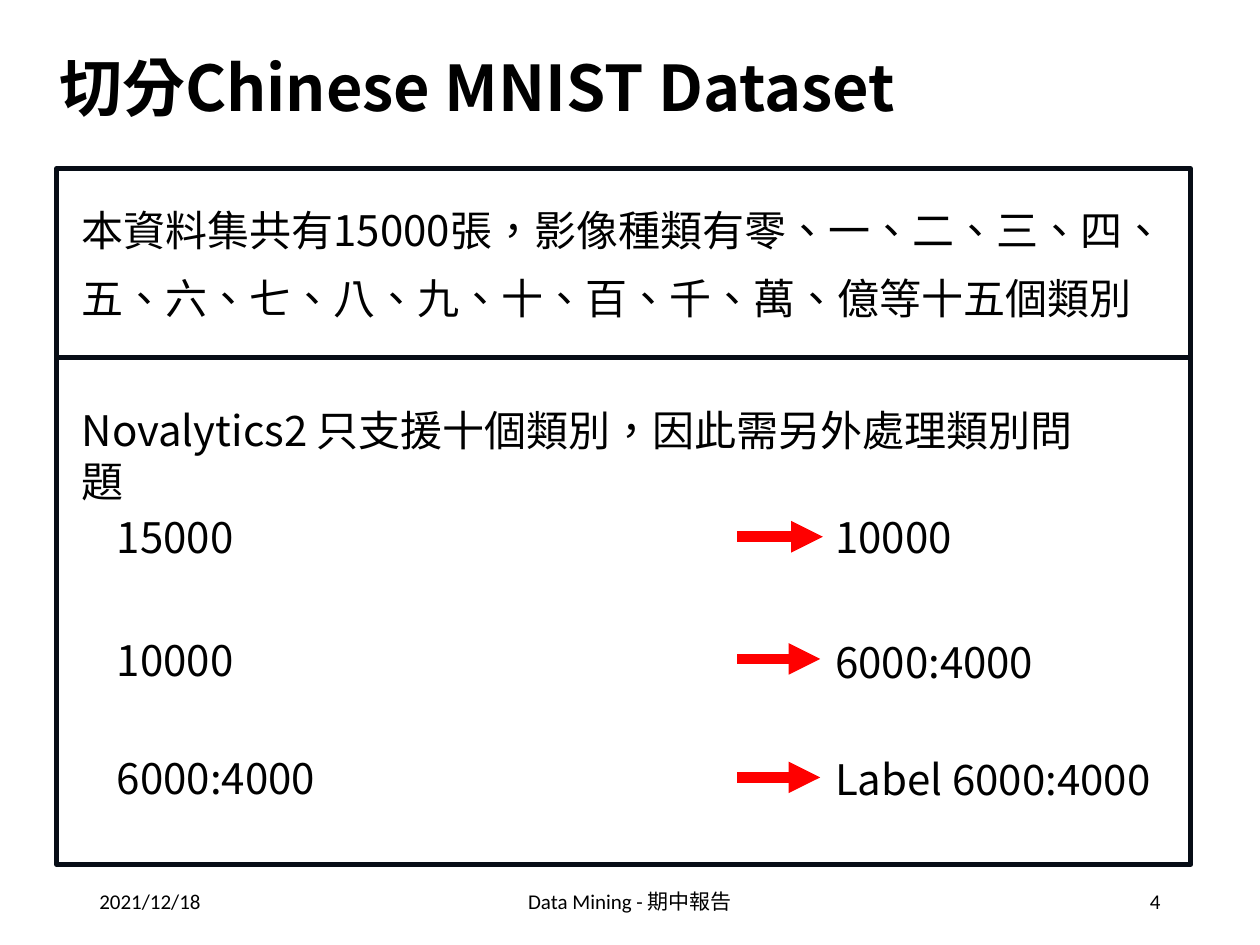
from dataclasses import dataclass

from lxml import etree
from pptx import Presentation
from pptx.dml.color import RGBColor
from pptx.enum.shapes import MSO_CONNECTOR, MSO_SHAPE
from pptx.enum.text import MSO_ANCHOR, MSO_AUTO_SIZE, PP_ALIGN
from pptx.oxml.ns import qn
from pptx.util import Inches, Pt

STRAIGHT = MSO_CONNECTOR.STRAIGHT
RECTANGLE = MSO_SHAPE.RECTANGLE
TOP, MIDDLE = MSO_ANCHOR.TOP, MSO_ANCHOR.MIDDLE
GROW, FIXED = MSO_AUTO_SIZE.SHAPE_TO_FIT_TEXT, MSO_AUTO_SIZE.NONE
LEFT, CENTER, RIGHT = PP_ALIGN.LEFT, PP_ALIGN.CENTER, PP_ALIGN.RIGHT
LEFT_SIDE = 1


@dataclass(frozen=True)
class Theme:
    text: RGBColor = RGBColor(0x00, 0x00, 0x00)
    frame: RGBColor = RGBColor(0x07, 0x0D, 0x16)
    arrow: RGBColor = RGBColor(0xFF, 0x00, 0x00)
    body_font: str = "Noto Sans CJK SC"
    footer_font: str = "Calibri"
    title_size: int = 36
    body_size: int = 24
    footer_size: int = 12
    frame_width: int = 3
    arrow_width: int = 6
    line_pitch: float = 1.21
    paragraph_gap: float = 9.6


class SlideBuilder:
    def __init__(self, slide, theme):
        self.shapes = slide.shapes
        self.theme = theme

    def text(self, box, lines, size=None, font=None, bold=False,
             align=LEFT, anchor=TOP, auto_size=GROW, wrap=True):
        theme = self.theme
        size = size or theme.body_size
        label = self.shapes.add_textbox(*map(Inches, box))
        frame = label.text_frame
        frame_format = {"word_wrap": wrap, "auto_size": auto_size,
                        "vertical_anchor": anchor}
        for name, value in frame_format.items():
            setattr(frame, name, value)

        font_format = {"name": font or theme.body_font, "size": Pt(size),
                       "bold": bold}
        for index, line in enumerate(lines):
            paragraph = frame.paragraphs[0] if index == 0 else frame.add_paragraph()
            paragraph.alignment = align
            paragraph.line_spacing = Pt(size * theme.line_pitch)
            if index:
                paragraph.space_before = Pt(theme.paragraph_gap)
            run = paragraph.add_run()
            run.text = line
            for name, value in font_format.items():
                setattr(run.font, name, value)
            run.font.color.rgb = theme.text
            # East Asian font and language for the Chinese characters
            properties = run._r.get_or_add_rPr()
            properties.set("lang", "zh-TW")
            etree.SubElement(properties, qn("a:ea"), typeface=theme.body_font)
        return label

    def frame(self, box):
        outline = self.shapes.add_shape(RECTANGLE, *map(Inches, box))
        outline.shadow.inherit = False
        outline.fill.background()
        outline.line.color.rgb = self.theme.frame
        outline.line.width = Pt(self.theme.frame_width)

    def line(self, start, end, color, width):
        connector = self.shapes.add_connector(
            STRAIGHT, *map(Inches, (*start, *end)))
        connector.line.color.rgb = color
        connector.line.width = Pt(width)
        etree.SubElement(connector._element.spPr, qn("a:effectLst"))
        return connector

    def arrow(self, start, end, target=None):
        connector = self.line(start, end, self.theme.arrow, self.theme.arrow_width)
        etree.SubElement(connector.line._get_or_add_ln(), qn("a:tailEnd"),
                         type="triangle")
        if target is not None:
            connector.end_connect(target, LEFT_SIDE)


def main():
    presentation = Presentation()
    presentation.slide_width, presentation.slide_height = Inches(10), Inches(7.5)
    theme = Theme()
    slide = SlideBuilder(
        presentation.slides.add_slide(presentation.slide_layouts[6]), theme)

    # Title
    slide.text((0.37, 0.33, 9.35, 0.71), ["切分Chinese MNIST Dataset"],
               size=theme.title_size, bold=True)

    # Footer: date, report name, slide number
    footer = [
        (0.69, 2.25, "2021/12/18", LEFT),
        (3.31, 3.38, "Data Mining - 期中報告", CENTER),
        (7.06, 2.25, "4", RIGHT),
    ]
    for left, width, words, align in footer:
        slide.text((left, 6.95, width, 0.4), [words], size=theme.footer_size,
                   font=theme.footer_font, align=align, anchor=MIDDLE,
                   auto_size=FIXED)

    # Dataset description
    slide.text((0.55, 1.57, 8.92, 1.04),
               ["本資料集共有15000張，影像種類有零、一、二、三、四、",
                "五、六、七、八、九、十、百、千、萬、億等十五個類別"],
               wrap=False)

    # Frame and divider
    frame_left, frame_width, divider_top = 0.45, 9, 2.84
    slide.frame((frame_left, 1.34, frame_width, 5.52))
    slide.line((frame_left, divider_top), (frame_left + frame_width, divider_top),
               theme.frame, theme.frame_width)

    # Class limit
    slide.text((0.55, 3.16, 8.37, 0.5),
               ["Novalytics2 只支援十個類別，因此需另外處理類別問題"])

    # Splitting steps: before, arrow, after
    before_left, arrow_left, after_left, height = 0.83, 5.85, 6.53, 0.5
    steps = [
        (4.01, "15000", 1.27, 4.01, "10000", 1.27, 4.26, after_left),
        (4.98, "10000", 1.27, 5.00, "6000:4000", 1.87, 5.23, 6.51),
        (5.92, "6000:4000", 1.87, 5.93, "Label 6000:4000", 2.78, 6.17, 6.51),
    ]
    for (before_top, before, before_width, after_top, after, after_width,
         arrow_top, arrow_right) in steps:
        slide.text((before_left, before_top, before_width, height), [before])
        result = slide.text((after_left, after_top, after_width, height), [after])
        slide.arrow((arrow_left, arrow_top), (arrow_right, arrow_top),
                    result if arrow_right == after_left else None)

    presentation.save("out.pptx")


if __name__ == "__main__":
    main()
